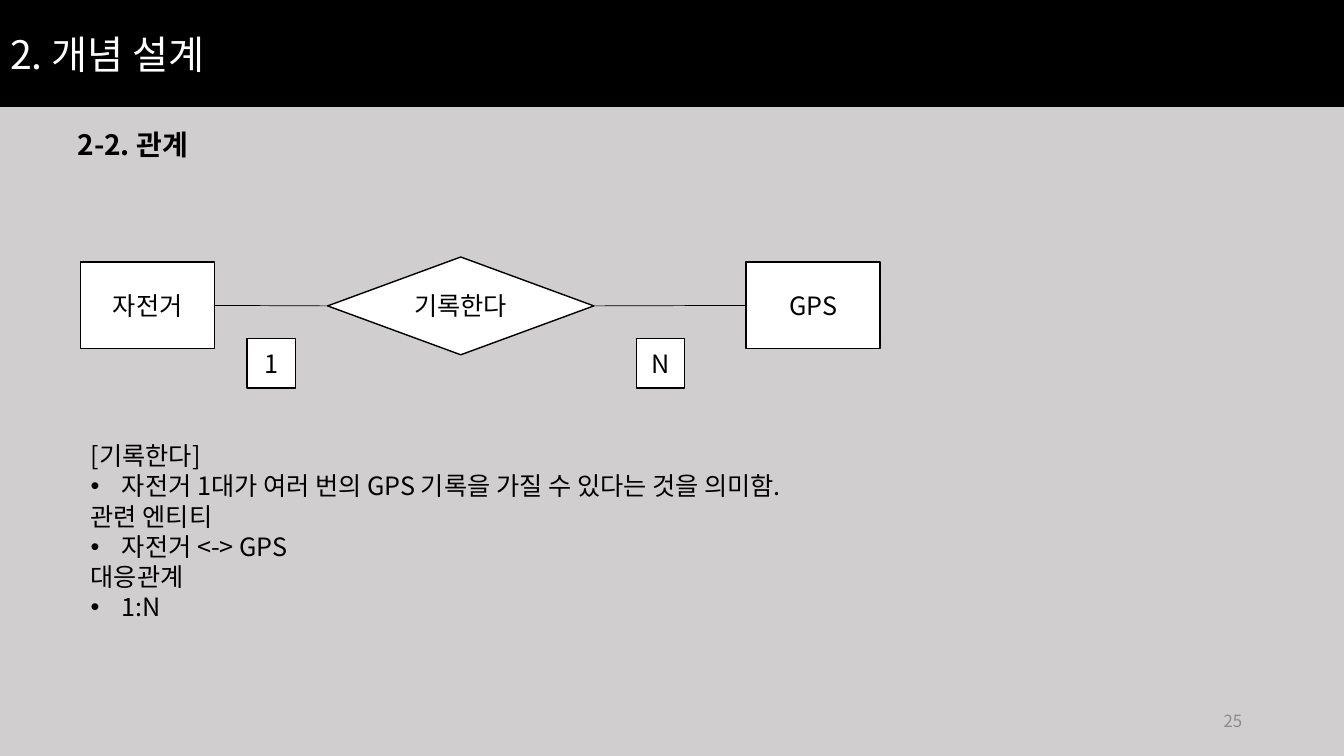
from dataclasses import dataclass

from lxml import etree
from pptx import Presentation
from pptx import util as u
from pptx.dml.color import RGBColor
from pptx.enum import shapes, text
from pptx.oxml.ns import qn


@dataclass(frozen=True)
class Theme:
    font: str = "Noto Sans CJK KR"
    background: RGBColor = RGBColor(0xD0, 0xCE, 0xCE)
    black: RGBColor = RGBColor(0, 0, 0)
    white: RGBColor = RGBColor(255, 255, 255)
    gray: RGBColor = RGBColor(0x8C, 0x8C, 0x8C)
    title_size: int = 28
    heading_size: int = 20
    body_size: int = 18
    number_size: int = 12


theme = Theme()


def place(shape, left, top, width, height):
    shape.left, shape.top = u.Inches(left), u.Inches(top)
    shape.width, shape.height = u.Inches(width), u.Inches(height)


def format_text(shape, size, color, alignment, bold=False):
    frame = shape.text_frame
    frame.word_wrap = True
    frame.auto_size = text.MSO_AUTO_SIZE.NONE
    frame.vertical_anchor = text.MSO_ANCHOR.MIDDLE
    for paragraph in frame.paragraphs:
        paragraph.alignment = alignment
        for run in paragraph.runs:
            run.font.size = u.Pt(size)
            run.font.bold = bold
            run.font.color.rgb = color
            run.font.name = theme.font
            east_asian = etree.SubElement(run.font._element, qn("a:ea"))
            east_asian.set("typeface", theme.font)


presentation = Presentation()
presentation.slide_width = u.Inches(13.33)
presentation.slide_height = u.Inches(7.5)
slide = presentation.slides.add_slide(presentation.slide_layouts[1])
slide.background.fill.solid()
slide.background.fill.fore_color.rgb = theme.background

title = slide.shapes.title
place(title, 0, 0, 13.33, 1.06)
title.fill.solid()
title.fill.fore_color.rgb = theme.black
title.text_frame.text = "2. 개념 설계"
format_text(title, theme.title_size, theme.white, text.PP_ALIGN.LEFT)

heading = slide.shapes.add_textbox(u.Inches(0.67), u.Inches(1.21), u.Inches(2.59), u.Inches(0.44))
heading.text_frame.text = "2-2. 관계"
format_text(heading, theme.heading_size, theme.black, text.PP_ALIGN.LEFT, bold=True)

rectangle, diamond = shapes.MSO_SHAPE.RECTANGLE, shapes.MSO_SHAPE.DIAMOND
diagram = [
    ("자전거", rectangle, 0.8, 2.6, 1.33, 0.86),
    ("기록한다", diamond, 3.25, 2.55, 2.64, 0.97),
    ("GPS", rectangle, 7.4, 2.6, 1.33, 0.86),
    ("1", rectangle, 2.45, 3.36, 0.48, 0.49),
    ("N", rectangle, 6.31, 3.36, 0.48, 0.49),
]
nodes = {}
for label, kind, *box in diagram:
    node = slide.shapes.add_shape(kind, *[u.Inches(length) for length in box])
    node.shadow.inherit = False
    node.fill.solid()
    node.fill.fore_color.rgb = theme.white
    node.line.color.rgb = theme.black
    node.line.width = u.Pt(1)
    node.text_frame.text = label
    format_text(node, theme.body_size, theme.black, text.PP_ALIGN.CENTER)
    node.text_frame.margin_left = node.text_frame.margin_right = 0
    nodes[label] = node

left_site, right_site = 1, 3
for start, end in [("자전거", "기록한다"), ("기록한다", "GPS")]:
    link = slide.shapes.add_connector(shapes.MSO_CONNECTOR.STRAIGHT, 0, 0, 0, 0)
    link.begin_connect(nodes[start], right_site)
    link.end_connect(nodes[end], left_site)
    link.line.color.rgb = theme.black
    link.line.width = u.Pt(0.5)
    etree.SubElement(link._element.spPr, qn("a:effectLst"))

description = [
    ("[기록한다]", False),
    ("자전거 1대가 여러 번의 GPS 기록을 가질 수 있다는 것을 의미함.", True),
    ("관련 엔티티", False),
    ("자전거 <-> GPS", True),
    ("대응관계", False),
    ("1:N", True),
]
body = slide.placeholders[1]
place(body, 0.8, 4.31, 7.92, 1.92)
body.text_frame.text = "\n".join(line for line, _ in description)
for paragraph, (_, bulleted) in zip(body.text_frame.paragraphs, description):
    properties = paragraph._p.get_or_add_pPr()
    indent = u.Inches(0.31) if bulleted else 0
    properties.set("marL", str(indent))
    properties.set("indent", str(-indent))
    if bulleted:
        etree.SubElement(properties, qn("a:buChar")).set("char", "•")
    else:
        etree.SubElement(properties, qn("a:buNone"))
    paragraph.space_before = u.Pt(0)
    paragraph.line_spacing = u.Pt(theme.body_size * 1.2)
format_text(body, theme.body_size, theme.black, text.PP_ALIGN.LEFT)

number = slide.shapes.add_textbox(u.Inches(9.42), u.Inches(6.95), u.Inches(3), u.Inches(0.4))
number.text_frame.text = "25"
format_text(number, theme.number_size, theme.gray, text.PP_ALIGN.RIGHT)

presentation.save("out.pptx")
